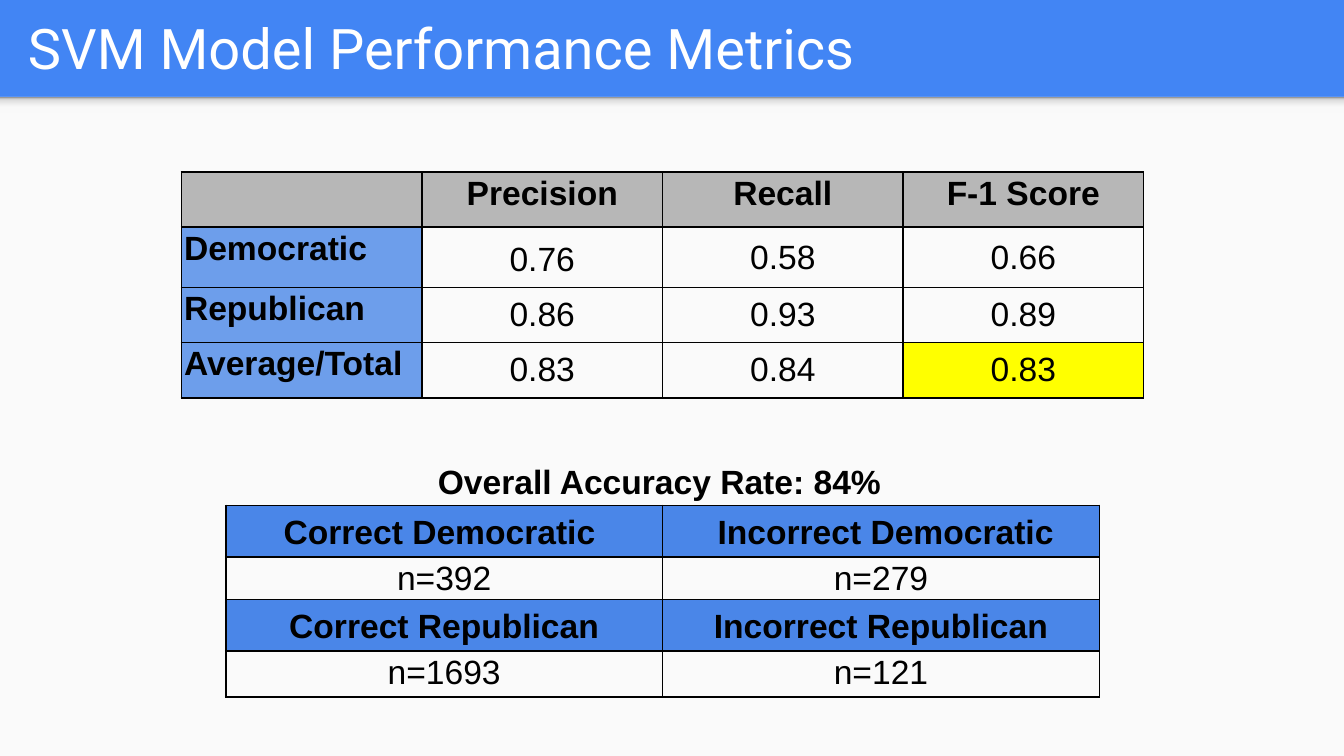
from dataclasses import dataclass

from lxml.etree import SubElement
from pptx import Presentation
from pptx.dml.color import RGBColor
from pptx.enum.shapes import MSO_SHAPE
from pptx.enum.text import MSO_ANCHOR, PP_ALIGN
from pptx.oxml.ns import qn
from pptx.util import Inches, Pt


@dataclass(frozen=True)
class Theme:
    banner: str = "4285F4"
    page: str = "FAFAFA"
    white: str = "FFFFFF"
    ink: str = "000000"
    header: str = "B7B7B7"
    label: str = "6D9EEB"
    count_header: str = "4A86E8"
    highlight: str = "FFFF00"
    shade: tuple = ((0, "F9F9F9"), (36, "F9F9F9"), (80, "DEDEDE"), (100, "999999"))
    title_font: str = "Roboto"
    body_font: str = "Arial"
    title_size: int = 30
    body_size: int = 18
    border: int = 1


THEME = Theme()


def write_text(frame, text, font=THEME.body_font, size=THEME.body_size, color=THEME.ink,
               bold=False, align=PP_ALIGN.LEFT, spacing=None):
    para = frame.paragraphs[0]
    para.alignment = align
    para.line_spacing = spacing
    span = para.add_run()
    span.text = text
    span.font.name = font
    span.font.size = Pt(size)
    span.font.bold = bold
    span.font.color.rgb = RGBColor.from_string(color)


def add_text_box(page, box, text, anchor=MSO_ANCHOR.TOP, **text_format):
    frame = page.shapes.add_textbox(*map(Inches, box)).text_frame
    frame.word_wrap = True
    frame.vertical_anchor = anchor
    frame.margin_left = frame.margin_right = Inches(0.1)
    frame.margin_top = frame.margin_bottom = Inches(0.1)
    write_text(frame, text, **text_format)


def add_panel(page, box, color):
    panel = page.shapes.add_shape(MSO_SHAPE.RECTANGLE, *map(Inches, box))
    panel.shadow.inherit = False
    panel.line.fill.background()
    panel.fill.solid()
    panel.fill.fore_color.rgb = RGBColor.from_string(color)
    return panel


def shade_downward(panel, stops):
    """Fill the panel with a gradient whose last stop lies at its top."""
    panel.fill.gradient()
    panel.fill.gradient_angle = 90
    stop_list = panel._element.spPr.find(qn("a:gradFill")).find(qn("a:gsLst"))
    for old_stop in list(stop_list):
        stop_list.remove(old_stop)
    for position, color in stops:
        stop = SubElement(stop_list, qn("a:gs"), pos=str(position * 1000))
        SubElement(stop, qn("a:srgbClr"), val=color)


def draw_borders(cell):
    properties = cell._tc.get_or_add_tcPr()
    for index, side in enumerate(("a:lnL", "a:lnR", "a:lnT", "a:lnB")):
        line = properties.makeelement(qn(side), {"w": str(Pt(THEME.border))})
        fill = SubElement(line, qn("a:solidFill"))
        SubElement(fill, qn("a:srgbClr"), val=THEME.ink)
        properties.insert(index, line)


def format_cell(cell, text, fill=None, anchor=MSO_ANCHOR.TOP, **text_format):
    cell.margin_left = cell.margin_right = Inches(0.02)
    cell.margin_top = cell.margin_bottom = Inches(0.02)
    cell.vertical_anchor = anchor
    if fill:
        cell.fill.solid()
        cell.fill.fore_color.rgb = RGBColor.from_string(fill)
    else:
        cell.fill.background()
    draw_borders(cell)
    if text:
        write_text(cell.text_frame, text, **text_format)


def add_grid(page, box, row_heights, column_count):
    """Add a plain table with equal columns; a row of height 0 grows to fit its text."""
    holder = page.shapes.add_table(len(row_heights), column_count, *map(Inches, box))
    grid = holder.table
    grid.first_row = grid.horz_banding = False
    for column in grid.columns:
        column.width = Inches(box[2] / column_count)
    for row, height in zip(grid.rows, row_heights):
        row.height = Inches(height)
    holder.height = Inches(box[3])
    return grid


def add_banner(page, box, title):
    left, top, width, height = box
    add_panel(page, (left, top + height, width, 4.91), THEME.page)
    shade_downward(add_panel(page, (left, top + height, width, 0.12), THEME.page), THEME.shade)
    add_text_box(page, (left + 0.11, top + 0.02, width - 0.35, height - 0.06), title,
                 anchor=MSO_ANCHOR.MIDDLE, font=THEME.title_font,
                 size=THEME.title_size, color=THEME.white)


def add_score_table(page, box, headings, scores, best):
    """Table of scores by class; best is the (row, column) cell to highlight."""
    grid = add_grid(page, box, (0.41, 0.45, 0.41, 0.41), len(headings))
    for column, heading in enumerate(headings):
        format_cell(grid.cell(0, column), heading, fill=THEME.header,
                    bold=True, align=PP_ALIGN.CENTER)
    for row, (label, values) in enumerate(scores.items(), start=1):
        format_cell(grid.cell(row, 0), label, fill=THEME.label, bold=True)
        for column, value in enumerate(values, start=1):
            format_cell(grid.cell(row, column), value,
                        fill=THEME.highlight if (row, column) == best else None,
                        anchor=MSO_ANCHOR.MIDDLE, align=PP_ALIGN.CENTER,
                        spacing=1.15 if (row, column) == (1, 1) else None)


def add_count_table(page, box, counts):
    grid = add_grid(page, box, (0, 0), len(counts))
    for column, (heading, count) in enumerate(counts.items()):
        format_cell(grid.cell(0, column), heading, fill=THEME.count_header,
                    bold=True, align=PP_ALIGN.CENTER, spacing=1.15)
        format_cell(grid.cell(1, column), count, align=PP_ALIGN.CENTER)


def main():
    deck = Presentation()
    deck.slide_width, deck.slide_height = Inches(10), Inches(10 * 9 / 16)
    page = deck.slides.add_slide(deck.slide_layouts[6])
    page.background.fill.solid()
    page.background.fill.fore_color.rgb = RGBColor.from_string(THEME.banner)

    add_banner(page, (0, 0, 10, 0.72), "SVM Model Performance Metrics")
    add_score_table(
        page, (1.35, 1.28, 7.16, 1.68),
        ("", "Precision", "Recall", "F-1 Score"),
        {
            "Democratic": ("0.76", "0.58", "0.66"),
            "Republican": ("0.86", "0.93", "0.89"),
            "Average/Total": ("0.83", "0.84", "0.83"),
        },
        best=(3, 3),
    )
    count_tables = (
        {"Correct Democratic ": "n=392", " Incorrect Democratic": "n=279"},
        {"Correct Republican": "n=1693", "Incorrect Republican": "n=121"},
    )
    for index, counts in enumerate(count_tables):
        add_count_table(page, (1.68, 3.76 + 0.7 * index, 6.5, 0.73), counts)
    add_text_box(page, (3.16, 3.33, 3.54, 0.34), "Overall Accuracy Rate: 84%", bold=True)
    deck.save("out.pptx")


if __name__ == "__main__":
    main()
